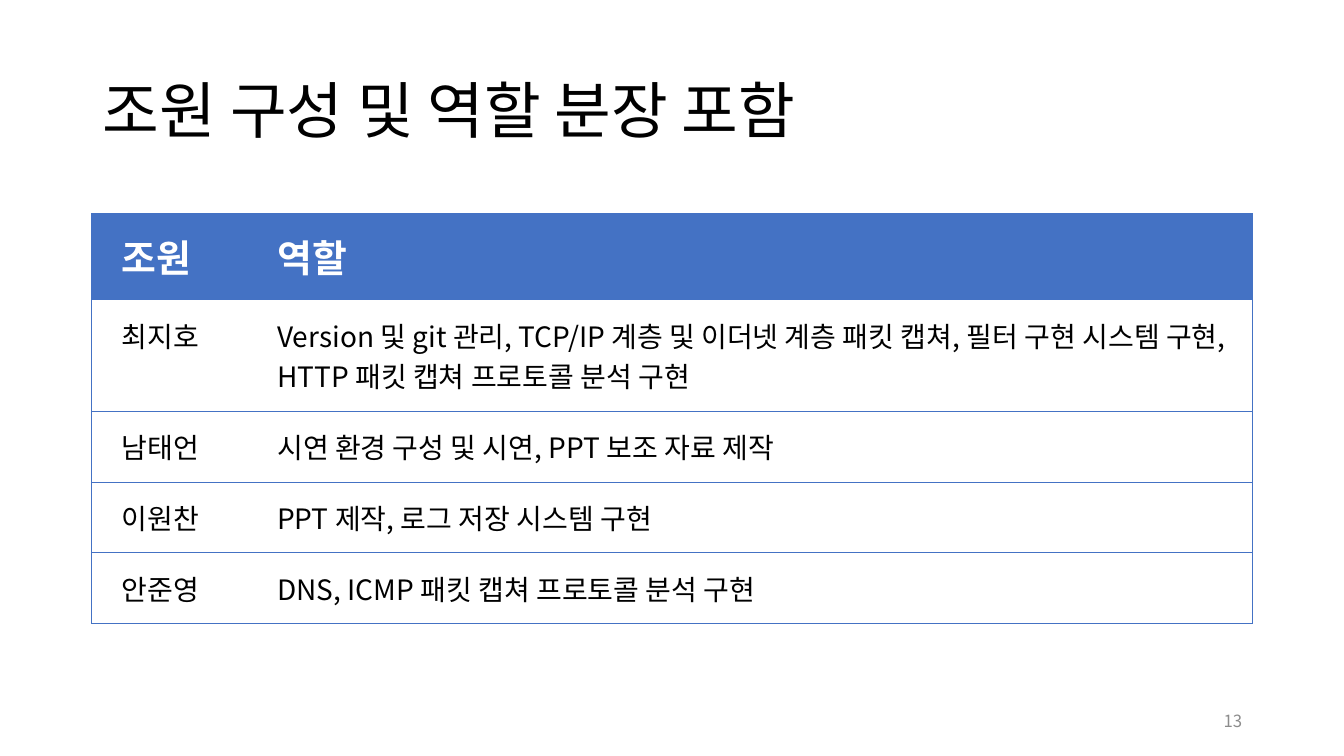
from dataclasses import dataclass
from typing import Optional

from lxml.etree import SubElement
from pptx import Presentation
from pptx.dml.color import RGBColor
from pptx.enum.text import MSO_ANCHOR, MSO_AUTO_SIZE, PP_ALIGN
from pptx.oxml.ns import qn
from pptx.slide import Slide
from pptx.table import _Cell
from pptx.text.text import TextFrame, _Paragraph
from pptx.util import Inches, Pt


@dataclass(frozen=True)
class Theme:
    font: str = "Noto Sans CJK KR"
    ink: str = "000000"
    paper: str = "FFFFFF"
    accent: str = "4472C4"
    muted: str = "8C8C8C"
    title_size: int = 44
    header_size: int = 27
    body_size: int = 20
    number_size: int = 12
    border_width: float = 0.5


@dataclass(frozen=True)
class Member:
    name: str
    role: str
    height: float = 0.7


THEME = Theme()
HEADING = Member("조원", "역할", 0.85)
MEMBERS = [
    Member(
        "최지호",
        "Version 및 git 관리, TCP/IP 계층 및 이더넷 계층 패킷 캡쳐, "
        "필터 구현 시스템 구현, HTTP 패킷 캡쳐 프로토콜 분석 구현",
        1.1,
    ),
    Member("남태언", "시연 환경 구성 및 시연, PPT 보조 자료 제작"),
    Member("이원찬", "PPT 제작, 로그 저장 시스템 구현"),
    Member("안준영", "DNS, ICMP 패킷 캡쳐 프로토콜 분석 구현"),
]
COLUMN_WIDTHS = (1.54, 9.97)


def write(paragraph: _Paragraph, text: str, size: int, color: str, bold: bool = False) -> None:
    run = paragraph.add_run()
    run.text = text
    run.font.name = THEME.font
    run.font.size = Pt(size)
    run.font.bold = bold
    run.font.color.rgb = RGBColor.from_string(color)
    SubElement(run.font._element, qn("a:ea")).set("typeface", THEME.font)


def center_vertically(frame: TextFrame) -> None:
    frame.word_wrap = True
    frame.auto_size = MSO_AUTO_SIZE.NONE
    frame.vertical_anchor = MSO_ANCHOR.MIDDLE


def add_border(cell: _Cell, side: str, color: Optional[str]) -> None:
    line = SubElement(cell._tc.get_or_add_tcPr(), qn(f"a:ln{side}"))
    line.set("w", str(Pt(THEME.border_width)))
    if color is None:
        SubElement(line, qn("a:noFill"))
    else:
        fill = SubElement(line, qn("a:solidFill"))
        SubElement(fill, qn("a:srgbClr")).set("val", color)


def fill_cell(cell: _Cell, text: str, is_heading: bool, is_first: bool) -> None:
    cell.margin_left, cell.margin_right = Inches(0.3), Inches(0.23)
    cell.margin_top = cell.margin_bottom = Inches(0.15)
    add_border(cell, "L", THEME.accent if is_first else None)
    add_border(cell, "R", None if is_first else THEME.accent)
    add_border(cell, "T", THEME.accent)
    add_border(cell, "B", THEME.accent)
    cell.fill.solid()
    cell.fill.fore_color.rgb = RGBColor.from_string(THEME.accent if is_heading else THEME.paper)
    write(
        cell.text_frame.paragraphs[0],
        text,
        THEME.header_size if is_heading else THEME.body_size,
        THEME.paper if is_heading else THEME.ink,
        is_heading,
    )


def add_title(slide: Slide, text: str) -> None:
    title = slide.shapes.title
    title.left, title.top = Inches(0.92), Inches(0.4)
    title.width, title.height = Inches(11.5), Inches(1.45)
    center_vertically(title.text_frame)
    paragraph = title.text_frame.paragraphs[0]
    paragraph.alignment = PP_ALIGN.LEFT
    paragraph.line_spacing = 0.9
    write(paragraph, text, THEME.title_size, THEME.ink)


def add_roles(slide: Slide, rows: list[Member]) -> None:
    roles = slide.shapes.add_table(
        len(rows), len(COLUMN_WIDTHS), Inches(0.91), Inches(2.12),
        Inches(sum(COLUMN_WIDTHS)), Inches(sum(row.height for row in rows)),
    ).table
    roles.horz_banding = False
    for column, width in zip(roles.columns, COLUMN_WIDTHS):
        column.width = Inches(width)
    for index, member in enumerate(rows):
        roles.rows[index].height = Inches(member.height)
        for position, text in enumerate((member.name, member.role)):
            fill_cell(roles.cell(index, position), text, index == 0, position == 0)


def add_page_number(slide: Slide, number: str) -> None:
    frame = slide.shapes.add_textbox(Inches(9.42), Inches(6.95), Inches(3), Inches(0.4)).text_frame
    center_vertically(frame)
    frame.paragraphs[0].alignment = PP_ALIGN.RIGHT
    write(frame.paragraphs[0], number, THEME.number_size, THEME.muted)


def main() -> None:
    deck = Presentation()
    deck.slide_width, deck.slide_height = Inches(13.33), Inches(7.5)
    slide = deck.slides.add_slide(deck.slide_layouts.get_by_name("Title Only"))
    add_title(slide, "조원 구성 및 역할 분장 포함")
    add_roles(slide, [HEADING, *MEMBERS])
    add_page_number(slide, "13")
    deck.save("out.pptx")


if __name__ == "__main__":
    main()
